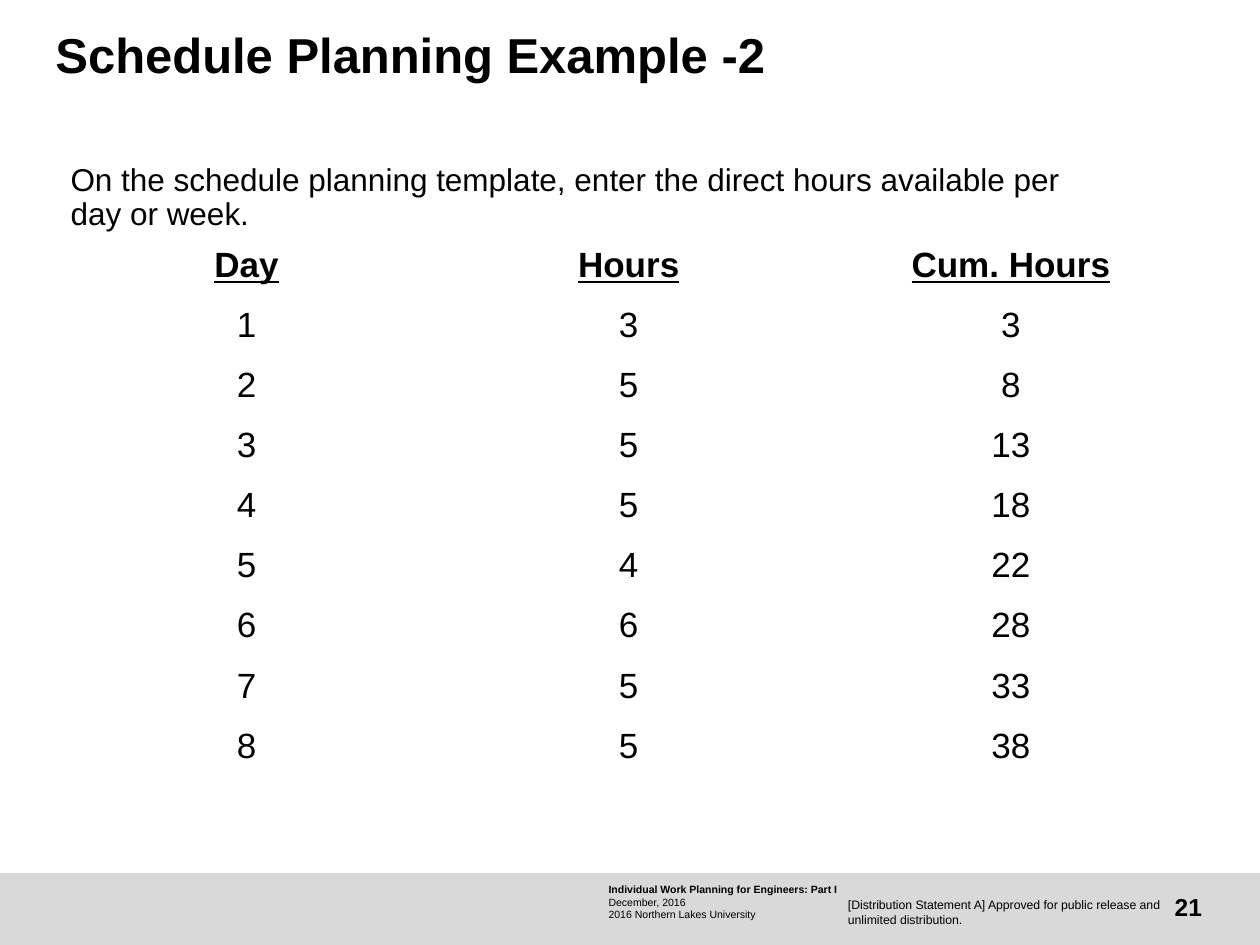
from itertools import accumulate

from pptx import Presentation
from pptx.dml.color import RGBColor
from pptx.enum.shapes import MSO_SHAPE
from pptx.enum.text import MSO_ANCHOR, MSO_AUTO_SIZE, PP_ALIGN
from pptx.util import Inches, Pt

TITLE = "Schedule Planning Example -2"
INSTRUCTION = ("On the schedule planning template, enter the direct hours "
               "available per day or week.")
HEADINGS = ("Day", "Hours", "Cum. Hours")
DAILY_HOURS = (3, 5, 5, 5, 4, 6, 5, 5)
COURSE_LINES = (
    "Individual Work Planning for Engineers: Part I",
    "December, 2016",
    "2016 Northern Lakes University",
)
DISTRIBUTION = ("[Distribution Statement A] Approved for public release and "
                "unlimited distribution.")
PAGE_NUMBER = "21"

FONT = "Arial"
COLORS = {"text": "000000", "footer": "D9D9D9"}
TABLE_LEFT, TABLE_TOP, TABLE_WIDTH, TABLE_HEIGHT = 0.44, 1.87, 9.1, 4.29


def color(name):
    return RGBColor.from_string(COLORS[name])


def format_paragraph(paragraph, size, bold=False, underline=False,
                     align=PP_ALIGN.LEFT, spacing=None):
    paragraph.alignment = align
    if spacing:
        paragraph.line_spacing = spacing
    for run in paragraph.runs:
        run.font.name = FONT
        run.font.size = Pt(size)
        run.font.bold = bold
        run.font.underline = underline
        run.font.color.rgb = color("text")


def set_frame(frame, insets=(0, 0, 0, 0), anchor=MSO_ANCHOR.TOP):
    frame.word_wrap = True
    frame.auto_size = MSO_AUTO_SIZE.NONE
    frame.vertical_anchor = anchor
    (frame.margin_left, frame.margin_top,
     frame.margin_right, frame.margin_bottom) = map(Inches, insets)


def add_text(slide, box, text, size, insets=(0, 0, 0, 0),
             anchor=MSO_ANCHOR.TOP, **style):
    frame = slide.shapes.add_textbox(*map(Inches, box)).text_frame
    set_frame(frame, insets, anchor)
    frame.text = text
    for paragraph in frame.paragraphs:
        format_paragraph(paragraph, size, **style)
    return frame


def add_footer(slide):
    band = slide.shapes.add_shape(MSO_SHAPE.RECTANGLE,
                                  *map(Inches, (0, 6.93, 10, 0.57)))
    band.shadow.inherit = False
    band.fill.solid()
    band.fill.fore_color.rgb = color("footer")
    band.line.fill.background()
    course = add_text(slide, (4.83, 7.01, 2.21, 0.3), "\n".join(COURSE_LINES),
                      6, insets=(0, 0, 0.05, 0))
    course.paragraphs[0].runs[0].font.bold = True
    add_text(slide, (8.98, 7, 0.56, 0.4), PAGE_NUMBER, 14, bold=True,
             anchor=MSO_ANCHOR.MIDDLE, align=PP_ALIGN.RIGHT)
    add_text(slide, (6.73, 7.12, 2.54, 0.24), DISTRIBUTION, 7)


def add_title(slide):
    title = slide.shapes.title
    title.left, title.top, title.width, title.height = map(
        Inches, (0.44, 0.25, 8.31, 0.73))
    set_frame(title.text_frame)
    title.text_frame.text = TITLE
    format_paragraph(title.text_frame.paragraphs[0], 28, bold=True, spacing=0.9)


def add_schedule(slide):
    days = range(1, len(DAILY_HOURS) + 1)
    rows = [HEADINGS, *zip(days, DAILY_HOURS, accumulate(DAILY_HOURS))]
    schedule = slide.shapes.add_table(
        len(rows), len(HEADINGS), Inches(TABLE_LEFT), Inches(TABLE_TOP),
        Inches(TABLE_WIDTH), Inches(TABLE_HEIGHT)).table
    schedule.first_row = False
    schedule.horz_banding = False
    for row_index, values in enumerate(rows):
        heading = row_index == 0
        for column_index, value in enumerate(values):
            cell = schedule.cell(row_index, column_index)
            cell.fill.background()
            cell.vertical_anchor = MSO_ANCHOR.MIDDLE
            cell.margin_left = cell.margin_right = 0
            cell.margin_top = cell.margin_bottom = 0
            cell.text_frame.text = str(value)
            format_paragraph(cell.text_frame.paragraphs[0], 20, bold=heading,
                             underline=heading, align=PP_ALIGN.CENTER)


def main():
    deck = Presentation()
    deck.slide_width, deck.slide_height = Inches(10), Inches(7.5)
    slide = deck.slides.add_slide(deck.slide_layouts[5])
    add_footer(slide)
    add_title(slide)
    add_schedule(slide)
    add_text(slide, (0.3, 1.24, 8.59, 0.79), INSTRUCTION, 18,
             insets=(0.26, 0.06, 0.12, 0.06), spacing=0.9)
    deck.save("out.pptx")


if __name__ == "__main__":
    main()
